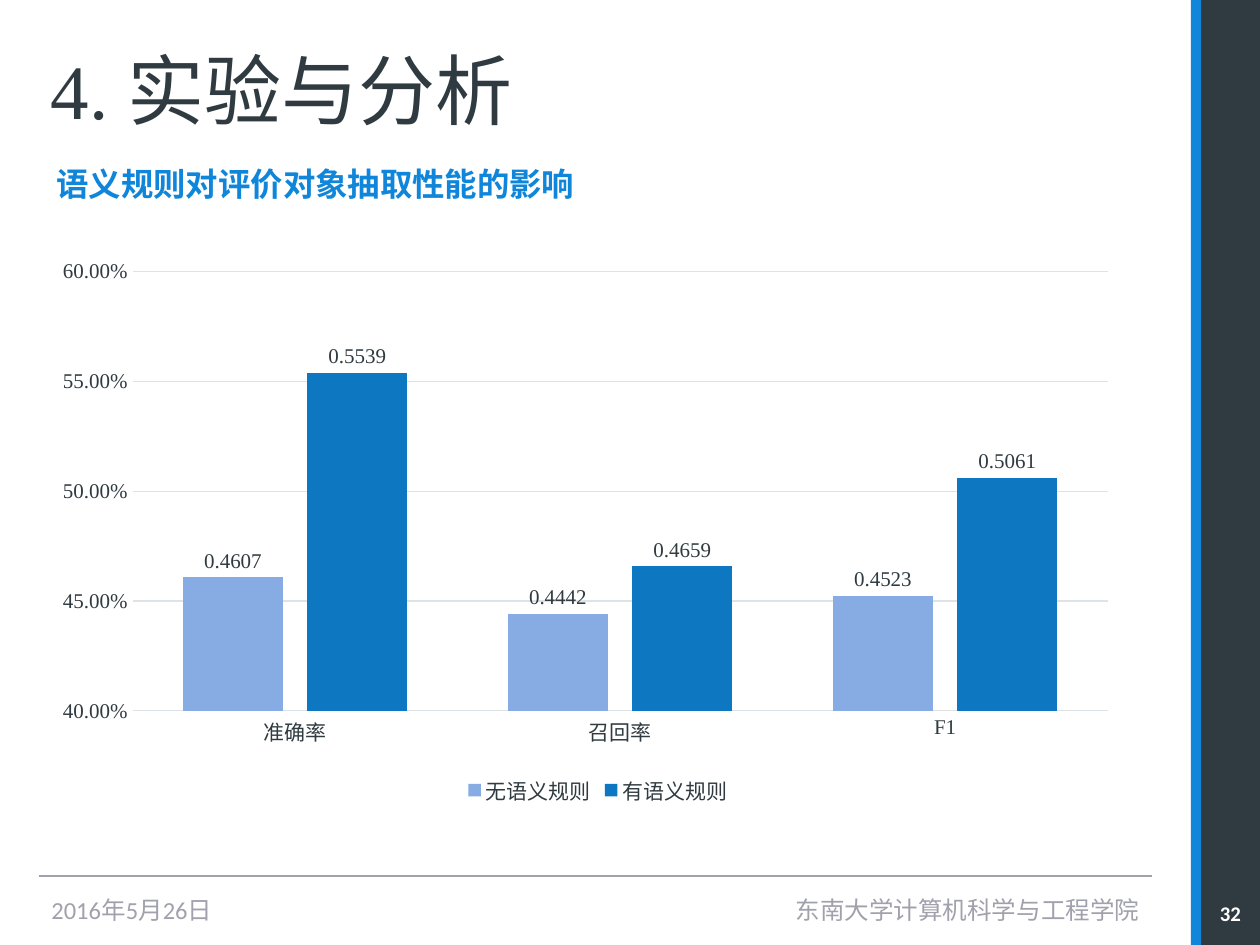
from lxml import etree
from pptx import Presentation
from pptx import util as u
from pptx.chart import data as chart_data
from pptx.dml import color
from pptx.enum import chart as chart_enum, shapes, text
from pptx.oxml import ns, parse_xml

PX = u.Inches(1) / 126
COLORS = {
    "accent": "0F86DA",
    "dark": "303B41",
    "muted": "A1A1AD",
    "white": "FFFFFF",
    "grid": "DDE3E6",
    "without_rules": "87ACE3",
    "with_rules": "0D77C1",
}
SERIF, SANS = "Times New Roman", "Calibri"


def emu(*lengths):
    return [u.Emu(round(length * PX)) for length in lengths]


def rgb(name):
    return color.RGBColor.from_string(COLORS[name])


def format_font(font, size, name, fill, bold=False):
    font.size, font.name, font.bold = u.Pt(size), name, bold
    font.color.rgb = rgb(fill)


def write_text(shape, wording, size, name=SANS, fill="dark", bold=False,
               align=text.PP_ALIGN.LEFT, anchor=text.MSO_ANCHOR.MIDDLE, before=0):
    frame = shape.text_frame
    frame.word_wrap = True
    frame.auto_size = text.MSO_AUTO_SIZE.NONE
    frame.vertical_anchor = anchor
    paragraph = frame.paragraphs[0]
    paragraph.alignment = align
    paragraph.space_before = u.Pt(before)
    run = paragraph.add_run()
    run.text = wording
    format_font(run.font, size, name, fill, bold)
    return paragraph


def place(shape, box):
    shape.left, shape.top, shape.width, shape.height = emu(*box)
    return shape


def add_sidebar(slide, box):
    left, top, width, height = box
    stripe = 10
    for offset, fill in ((0, "accent"), (stripe, "dark")):
        shape = slide.shapes.add_shape(
            shapes.MSO_SHAPE.RECTANGLE, *emu(left + offset, top, width - offset, height))
        shape.shadow.inherit = False
        shape.fill.solid()
        shape.fill.fore_color.rgb = rgb(fill)
        shape.line.fill.background()
    number = slide.shapes.add_textbox(
        *emu(left + stripe, top + 896, width - stripe, 34))
    write_text(number, "32", 11.9, fill="white", bold=True, align=text.PP_ALIGN.CENTER)


def add_heading(slide, box):
    left, top, width, height = box
    title = place(slide.shapes.title, (left, top, width, 136))
    write_text(title, "4. 实验与分析", 44, SERIF)
    subtitle = place(slide.placeholders[1], (left + 6, top + 137, width, height - 137))
    paragraph = write_text(subtitle, "语义规则对评价对象抽取性能的影响", 18.5, fill="accent",
                           bold=True, anchor=text.MSO_ANCHOR.TOP, before=7)
    properties = paragraph._p.get_or_add_pPr()
    properties.set("marL", "0")
    properties.set("indent", "0")
    etree.SubElement(properties, ns.qn("a:buNone"))


def add_footer(slide, box):
    left, top, width, height = box
    rule = slide.shapes.add_connector(
        shapes.MSO_CONNECTOR.STRAIGHT, *emu(left, top, left + width, top))
    rule.line.color.rgb = rgb("muted")
    rule.line.width = u.Pt(0.79)
    etree.SubElement(rule._element.spPr, ns.qn("a:effectLst"))
    date_width, school_width, gap = 246, 747, 9
    date = slide.shapes.add_textbox(*emu(left, top + gap, date_width, height - gap))
    write_text(date, "2016年5月26日", 14, fill="muted")
    school = slide.shapes.add_textbox(
        *emu(left + width - school_width, top + gap, school_width, height - gap))
    write_text(school, "东南大学计算机科学与工程学院", 14, fill="muted",
               align=text.PP_ALIGN.RIGHT)


def set_plot_area(chart, x, y, w, h):
    plot_area = chart._chartSpace.chart.plotArea
    for layout in plot_area.findall(ns.qn("c:layout")):
        plot_area.remove(layout)
    sizes = "".join(f'<c:{key} val="{value}"/>'
                    for key, value in (("x", x), ("y", y), ("w", w), ("h", h)))
    plot_area.insert(0, parse_xml(
        f'<c:layout {ns.nsdecls("c")}><c:manualLayout><c:layoutTarget val="inner"/>'
        f'<c:xMode val="edge"/><c:yMode val="edge"/>{sizes}</c:manualLayout></c:layout>'))


def format_axes(chart):
    category_axis, value_axis = chart.category_axis, chart.value_axis
    for axis in (category_axis, value_axis):
        axis.major_tick_mark = axis.minor_tick_mark = chart_enum.XL_TICK_MARK.NONE
        format_font(axis.tick_labels.font, 12, SERIF, "dark")
    value_axis.minimum_scale, value_axis.maximum_scale = 0.4, 0.6
    value_axis.major_unit = 0.05
    value_axis.tick_labels.number_format = "0.00%"
    value_axis.tick_labels.number_format_is_linked = False
    value_axis.format.line.fill.background()
    value_axis.has_major_gridlines = True
    for line in (category_axis.format.line, value_axis.major_gridlines.format.line):
        line.color.rgb = rgb("grid")
        line.width = u.Pt(0.75)


def add_rules_chart(slide, box):
    scores = chart_data.CategoryChartData()
    scores.categories = ["准确率", "召回率", "F1"]
    scores.add_series("无语义规则", (0.4607, 0.4442, 0.4523))
    scores.add_series("有语义规则", (0.5539, 0.4659, 0.5061))
    chart = slide.shapes.add_chart(
        chart_enum.XL_CHART_TYPE.COLUMN_CLUSTERED, *emu(*box), scores).chart
    format_font(chart.font, 12, SANS, "dark")
    chart.has_title = False
    chart.has_legend = True
    chart.legend.position = chart_enum.XL_LEGEND_POSITION.BOTTOM
    chart.legend.include_in_layout = False
    format_font(chart.legend.font, 12, SANS, "dark")
    format_axes(chart)
    plot = chart.plots[0]
    plot.gap_width, plot.overlap, plot.vary_by_categories = 100, -24, False
    for series, fill in zip(plot.series, ("without_rules", "with_rules")):
        series.format.fill.solid()
        series.format.fill.fore_color.rgb = rgb(fill)
        labels = series.data_labels
        labels.show_value = True
        labels.position = chart_enum.XL_LABEL_POSITION.OUTSIDE_END
        format_font(labels.font, 12, SERIF, "dark")
    set_plot_area(chart, 0.08, 0.03, 0.88, 0.79)


def main():
    presentation = Presentation()
    presentation.slide_width, presentation.slide_height = emu(1260, 945)
    slide = presentation.slides.add_slide(presentation.slide_layouts[1])
    add_sidebar(slide, (1191, 0, 69, 945))
    add_heading(slide, (38, 21, 1124, 186))
    add_footer(slide, (39, 876, 1113, 59))
    add_rules_chart(slide, (44, 255, 1108, 556))
    presentation.save("out.pptx")


if __name__ == "__main__":
    main()
